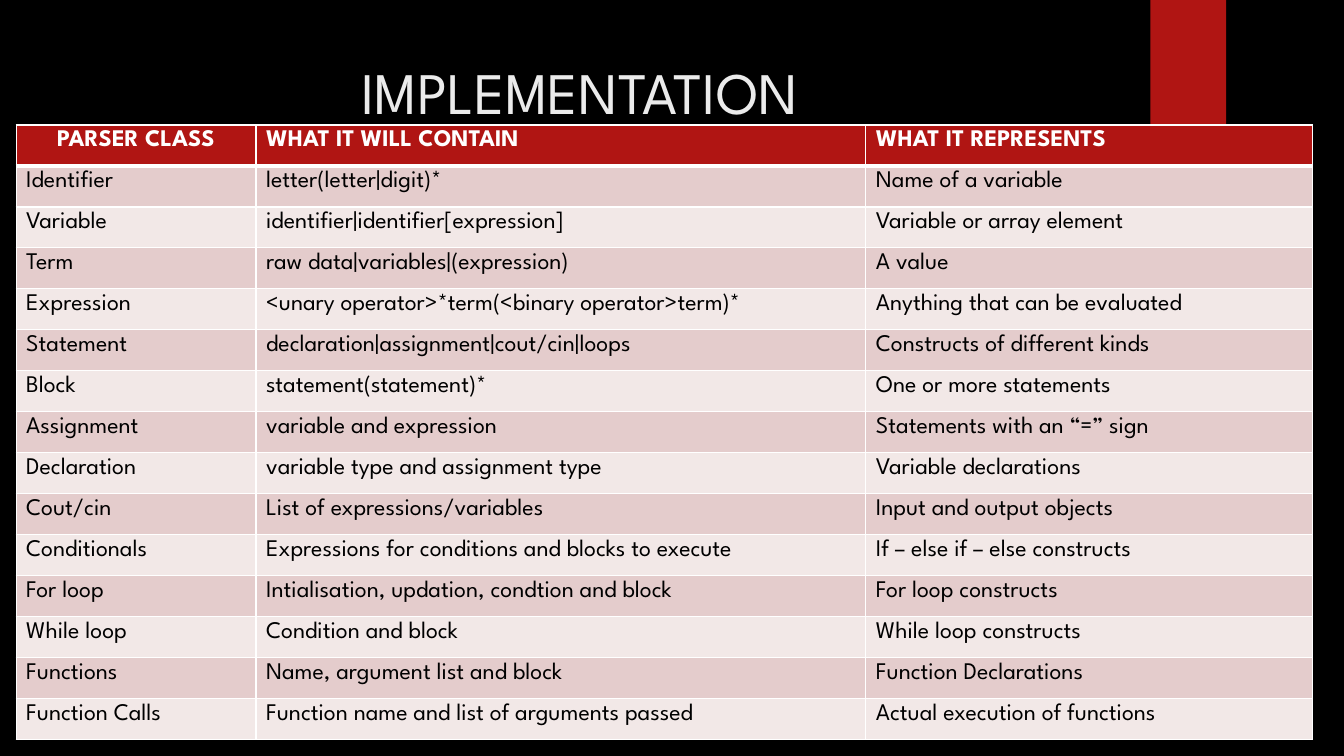
import pptx
import pptx.dml.color
import pptx.enum.shapes
import pptx.enum.text
import pptx.oxml
import pptx.util
from pptx.util import Pt

RGBColor = pptx.dml.color.RGBColor
BLACK = RGBColor(0x00, 0x00, 0x00)
WHITE = RGBColor(0xFF, 0xFF, 0xFF)
TITLE_GREY = RGBColor(0xEB, 0xEB, 0xEB)
RED = RGBColor(0xB0, 0x15, 0x13)
BAND_DARK = RGBColor(0xE4, 0xCC, 0xCC)
BAND_LIGHT = RGBColor(0xF2, 0xE8, 0xE7)
FONT = "League Spartan"
CENTER = pptx.enum.text.PP_ALIGN.CENTER
NS = "http://schemas.openxmlformats.org/drawingml/2006/main"

COLUMN_WIDTHS = [171.4, 435.6, 319]
ROW_HEIGHT = 29.28
ROWS = [
    ("PARSER CLASS", "WHAT IT WILL CONTAIN", "WHAT IT REPRESENTS"),
    ("Identifier", "letter(letter|digit)*", "Name of a variable"),
    ("Variable", "identifier|identifier[expression]", "Variable or array element"),
    ("Term", "raw data|variables|(expression)", "A value"),
    ("Expression", "<unary operator>*term(<binary operator>term)*", "Anything that can be evaluated"),
    ("Statement", "declaration|assignment|cout/cin|loops", "Constructs of different kinds"),
    ("Block", "statement(statement)*", "One or more statements"),
    ("Assignment", "variable and expression", "Statements with an “=” sign"),
    ("Declaration", "variable type and assignment type", "Variable declarations"),
    ("Cout/cin", "List of expressions/variables", "Input and output objects"),
    ("Conditionals", "Expressions for conditions and blocks to execute", "If – else if – else constructs"),
    ("For loop", "Intialisation, updation, condtion and block", "For loop constructs"),
    ("While loop", "Condition and block", "While loop constructs"),
    ("Functions", "Name, argument list and block", "Function Declarations"),
    ("Function Calls", "Function name and list of arguments passed", "Actual execution of functions"),
]


def style_font(p, size, color, bold=False):
    p.font.name = FONT
    p.font.size = Pt(size)
    p.font.bold = bold
    p.font.color.rgb = color


def add_border(cell, side, width):
    cell._tc.get_or_add_tcPr().append(pptx.oxml.parse_xml(
        f'<a:ln{side} xmlns:a="{NS}" w="{Pt(width)}"><a:solidFill>'
        f'<a:srgbClr val="{WHITE}"/></a:solidFill></a:ln{side}>'))


prs = pptx.Presentation()
prs.slide_width, prs.slide_height = Pt(960), Pt(540)
s = prs.slides.add_slide(prs.slide_layouts[6])
s.background.fill.solid()
s.background.fill.fore_color.rgb = BLACK

# Red tab at the top
tab = s.shapes.add_shape(pptx.enum.shapes.MSO_SHAPE.RECTANGLE, Pt(821.8), 0, Pt(54), Pt(90))
tab.shadow.inherit = False
tab.fill.solid()
tab.fill.fore_color.rgb = RED
tab.line.fill.background()

# Title
title = s.shapes.add_textbox(Pt(43.5), Pt(36), Pt(741), Pt(110))
tf = title.text_frame
tf.word_wrap = True
p = tf.paragraphs[0]
p.text = "IMPLEMENTATION"
p.alignment = CENTER
style_font(p, 42, TITLE_GREY)

# Table of parser classes
table = s.shapes.add_table(len(ROWS), len(COLUMN_WIDTHS), Pt(11.5), Pt(89.3),
                           Pt(sum(COLUMN_WIDTHS)), Pt(ROW_HEIGHT * len(ROWS))).table
for column, width in zip(table.columns, COLUMN_WIDTHS):
    column.width = Pt(width)
for i, texts in enumerate(ROWS):
    table.rows[i].height = Pt(ROW_HEIGHT)
    header = i == 0
    fill = RED if header else BAND_DARK if i % 2 else BAND_LIGHT
    for j, text in enumerate(texts):
        cell = table.cell(i, j)
        for side in "LRTB":
            thick = (header and side == "B") or (i == 1 and side == "T")
            add_border(cell, side, 3 if thick else 1)
        cell.fill.solid()
        cell.fill.fore_color.rgb = fill
        p = cell.text_frame.paragraphs[0]
        p.text = text
        style_font(p, 17, WHITE if header else BLACK, header)
table.cell(0, 0).text_frame.paragraphs[0].alignment = CENTER

prs.save("out.pptx")
